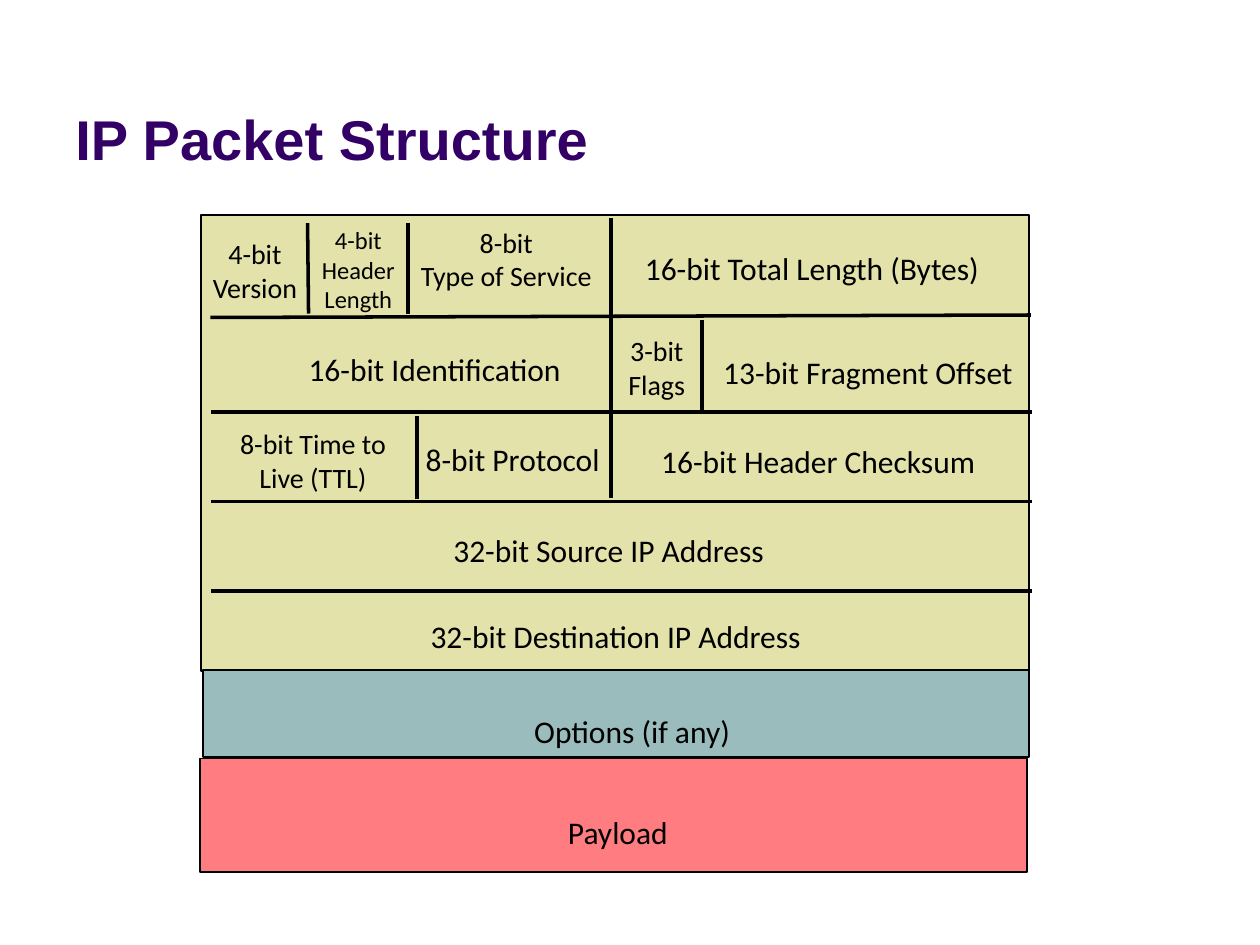
from pptx import Presentation
from pptx.dml.color import RGBColor
from pptx.enum.shapes import MSO_CONNECTOR, MSO_SHAPE
from pptx.enum.text import MSO_ANCHOR, PP_ALIGN
from pptx.oxml.ns import qn
from pptx.util import Cm, Pt
from lxml.etree import SubElement

BLACK = "000000"
TITLE = {"size": Pt(32), "name": "Arial", "bold": True}

# Blocks: left, top, width, height, fill
BLOCKS = [
    (4.06, 4.34, 16.69, 9.19, "E2E2AA"),
    (4.09, 13.51, 16.66, 1.75, "9ABCBC"),
    (4.04, 15.29, 16.66, 2.29, "FF7C80"),
]

# Rules between rows and fields: start x, start y, end x, end y
ROWS = [(4.24, 6.4, 20.78, 6.35)]
ROWS += [(4.26, y, 20.8, y) for y in (8.31, 10.11, 11.91)]
SPLITS = [
    (12.32, 4.39, 12.32, 10.03),
    (6.2, 4.5, 6.22, 6.32),
    (8.23, 4.5, 8.23, 6.32),
    (14.15, 6.45, 14.15, 8.28),
    (8.41, 8.38, 8.41, 10.06),
]

# Stacked labels: left, top, width, height, size, lines
STACKS = [
    (4.01, 4.65, 2.26, 1.63, 16, ["4-bit", "Version"]),
    (6.22, 4.42, 2.01, 2.06, 14, ["4-bit", "Header", "Length"]),
    (8.2, 4.42, 4.01, 2.31, 16, ["8-bit", "Type of Service"]),
    (12.4, 6.6, 1.68, 1.63, 16, ["3-bit", "Flags"]),
    (4.57, 8.48, 3.48, 1.63, 16, ["8-bit Time to ", "Live (TTL)"]),
]

# One-line labels: left, top, width, text
LABELS = [
    (12.75, 4.9, 7.39, "16-bit Total Length (Bytes)"),
    (5.97, 6.93, 5.66, "16-bit Identification"),
    (14.33, 6.99, 6.43, "13-bit Fragment Offset"),
    (8.33, 8.74, 4.06, "8-bit Protocol"),
    (13.08, 8.79, 6.91, "16-bit Header Checksum"),
    (8.89, 10.59, 6.86, "32-bit Source IP Address"),
    (8.43, 12.32, 8.08, "32-bit Destination IP Address"),
    (10.52, 14.22, 4.5, "Options (if any)"),
    (11.2, 16.26, 2.57, "Payload"),
]


def color(hue):
    return RGBColor.from_string(hue)


def apply(item, style):
    for key, value in style.items():
        setattr(item, key, value)


def add_block(slide, left, top, width, height, hue):
    block = slide.shapes.add_shape(
        MSO_SHAPE.RECTANGLE, Cm(left), Cm(top), Cm(width), Cm(height))
    block.shadow.inherit = False
    block.fill.solid()
    block.fill.fore_color.rgb = color(hue)
    block.line.color.rgb = color(BLACK)
    block.line.width = Pt(1)


def add_rule(slide, *ends):
    rule = slide.shapes.add_connector(
        MSO_CONNECTOR.STRAIGHT, *[Cm(end) for end in ends])
    rule.line.color.rgb = color(BLACK)
    rule.line.width = Pt(2)
    SubElement(rule._element.spPr, qn("a:effectLst"))


def add_text(slide, place, lines, font, hue=BLACK, align=PP_ALIGN.LEFT,
             anchor=MSO_ANCHOR.TOP, wrap=False):
    box = slide.shapes.add_textbox(*[Cm(value) for value in place])
    frame = box.text_frame
    apply(frame, {"word_wrap": wrap, "vertical_anchor": anchor,
                  "text": "\n".join(lines)})
    for para in frame.paragraphs:
        para.alignment = align
        for run in para.runs:
            apply(run.font, font)
            run.font.color.rgb = color(hue)


def body(size):
    return {"size": Pt(size), "name": "Calibri"}


def main():
    deck = Presentation()
    apply(deck, {"slide_width": Cm(25.4), "slide_height": Cm(19.05)})
    slide = deck.slides.add_slide(deck.slide_layouts[6])

    # Title
    add_text(slide, (1.27, 0.33, 22.86, 3.25), ["IP Packet Structure"],
             TITLE, "330066", anchor=MSO_ANCHOR.BOTTOM, wrap=True)

    # Packet blocks and their rules
    for block in BLOCKS:
        add_block(slide, *block)
    for ends in ROWS + SPLITS:
        add_rule(slide, *ends)

    # Field labels
    for *place, size, lines in STACKS:
        add_text(slide, place, lines, body(size), align=PP_ALIGN.CENTER)
    for *place, text in LABELS:
        add_text(slide, (*place, 1.02), [text], body(18))

    deck.save("out.pptx")


main()
